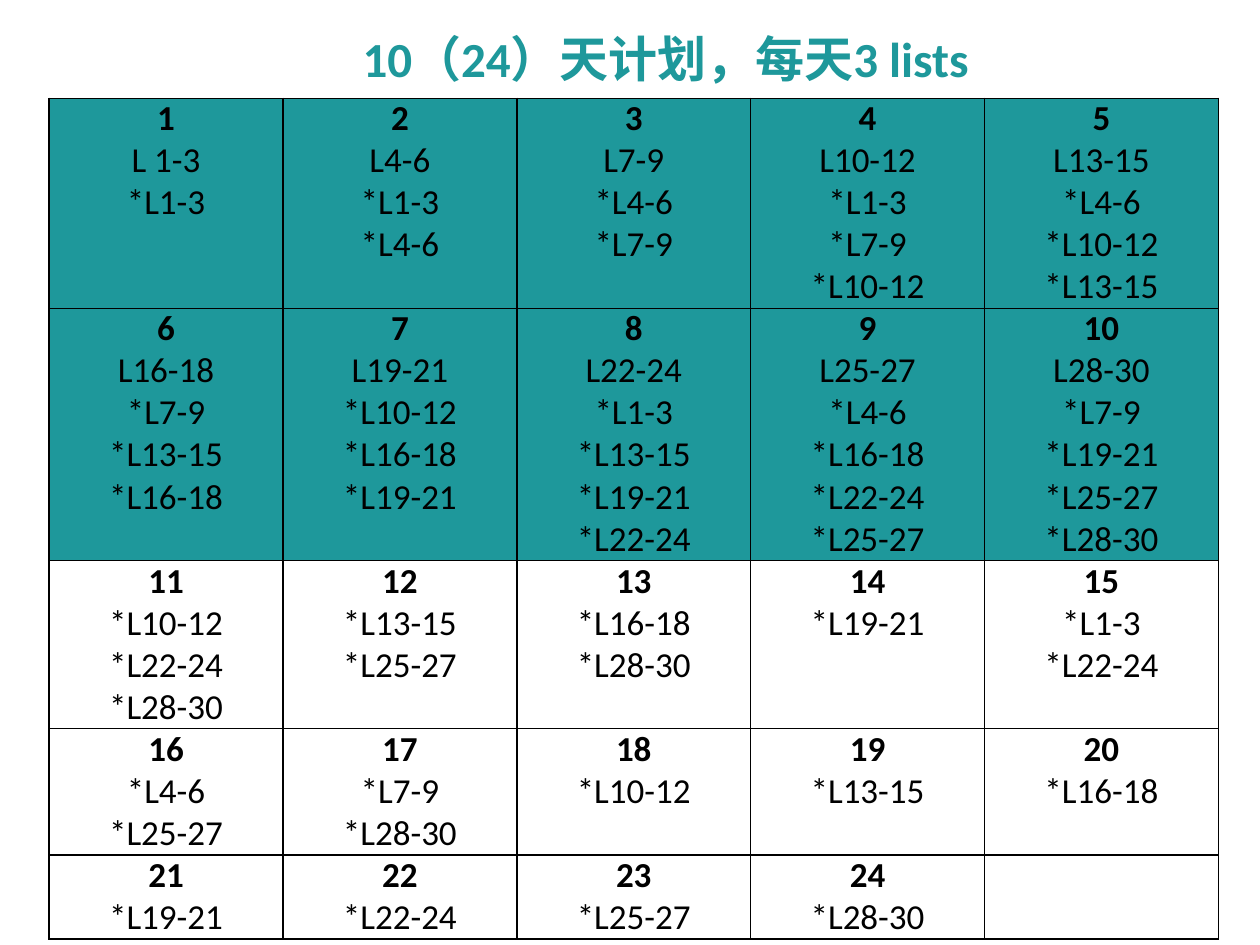
from lxml.etree import SubElement
from pptx import Presentation
from pptx.dml.color import RGBColor
from pptx.enum.text import MSO_AUTO_SIZE, PP_ALIGN
from pptx.oxml.ns import qn
from pptx.util import Inches, Pt

TEAL = "1E989B"
BLACK = "000000"
COLUMNS = 5
STUDY_DAYS = 10
LAST_DAY = 24
REVIEW_GAPS = (14, 7, 3, 1, 0)
LINE_HEIGHT = Pt(24)


def color(value):
    return RGBColor.from_string(value)


def write(paragraph, text, size=20, fill=BLACK, bold=False, align=None, spacing=None):
    run = paragraph.add_run()
    run.text = text
    run.font.name = "Calibri"
    run.font.size = Pt(size)
    run.font.bold = bold
    run.font.color.rgb = color(fill)
    paragraph.alignment = align
    paragraph.line_spacing = spacing


def lists_of(day):
    return f"L{3 * day - 2}-{3 * day}"


def plan_for(day):
    reviews = [f"*{lists_of(day - gap)}" for gap in REVIEW_GAPS
               if 1 <= day - gap <= STUDY_DAYS]
    new_lists = [lists_of(day)] if day <= STUDY_DAYS else []
    if day == 1:
        new_lists = ["L 1-3"]
    return [str(day)] + new_lists + reviews


def add_borders(cell):
    properties = cell._tc.get_or_add_tcPr()
    for index, side in enumerate(("a:lnL", "a:lnR", "a:lnT", "a:lnB")):
        line = properties.makeelement(qn(side), {"w": str(Pt(1))})
        solid = SubElement(line, qn("a:solidFill"))
        SubElement(solid, qn("a:srgbClr"), val=BLACK)
        properties.insert(index, line)


def fill_day(cell, day):
    cell.margin_left = cell.margin_right = Inches(0.09)
    cell.margin_top = cell.margin_bottom = 0
    if day <= STUDY_DAYS:
        cell.fill.solid()
        cell.fill.fore_color.rgb = color(TEAL)
    else:
        cell.fill.background()
    add_borders(cell)
    if day > LAST_DAY:
        return
    frame = cell.text_frame
    for index, text in enumerate(plan_for(day)):
        paragraph = frame.add_paragraph() if index else frame.paragraphs[0]
        write(paragraph, text, bold=index == 0, align=PP_ALIGN.CENTER,
              spacing=LINE_HEIGHT)


def add_title(slide, left, top, width, height):
    shape = slide.shapes.add_textbox(left, top, width, height)
    frame = shape.text_frame
    frame.word_wrap = True
    frame.auto_size = MSO_AUTO_SIZE.SHAPE_TO_FIT_TEXT
    write(frame.paragraphs[0], "10（24）天计划，每天3 lists",
          size=28, fill=TEAL, bold=True)


def add_plan(slide, left, top, width, height):
    row_count = -(-LAST_DAY // COLUMNS)
    shape = slide.shapes.add_table(row_count, COLUMNS, left, top, width, height)
    table = shape.table
    table.first_row = table.horz_banding = False
    for row_index, row in enumerate(table.rows):
        days = range(row_index * COLUMNS + 1, (row_index + 1) * COLUMNS + 1)
        line_count = max(len(plan_for(day)) for day in days if day <= LAST_DAY)
        row.height = LINE_HEIGHT * line_count
        for cell, day in zip(row.cells, days):
            fill_day(cell, day)


def main():
    presentation = Presentation()
    presentation.slide_width = Inches(10)
    presentation.slide_height = Inches(7.5)
    slide = presentation.slides.add_slide(presentation.slide_layouts[6])
    add_plan(slide, Inches(0.39), Inches(0.78), Inches(9.28), Inches(6.67))
    add_title(slide, Inches(2.78), Inches(0.18), Inches(5.78), Inches(0.57))
    presentation.save("out.pptx")


if __name__ == "__main__":
    main()
